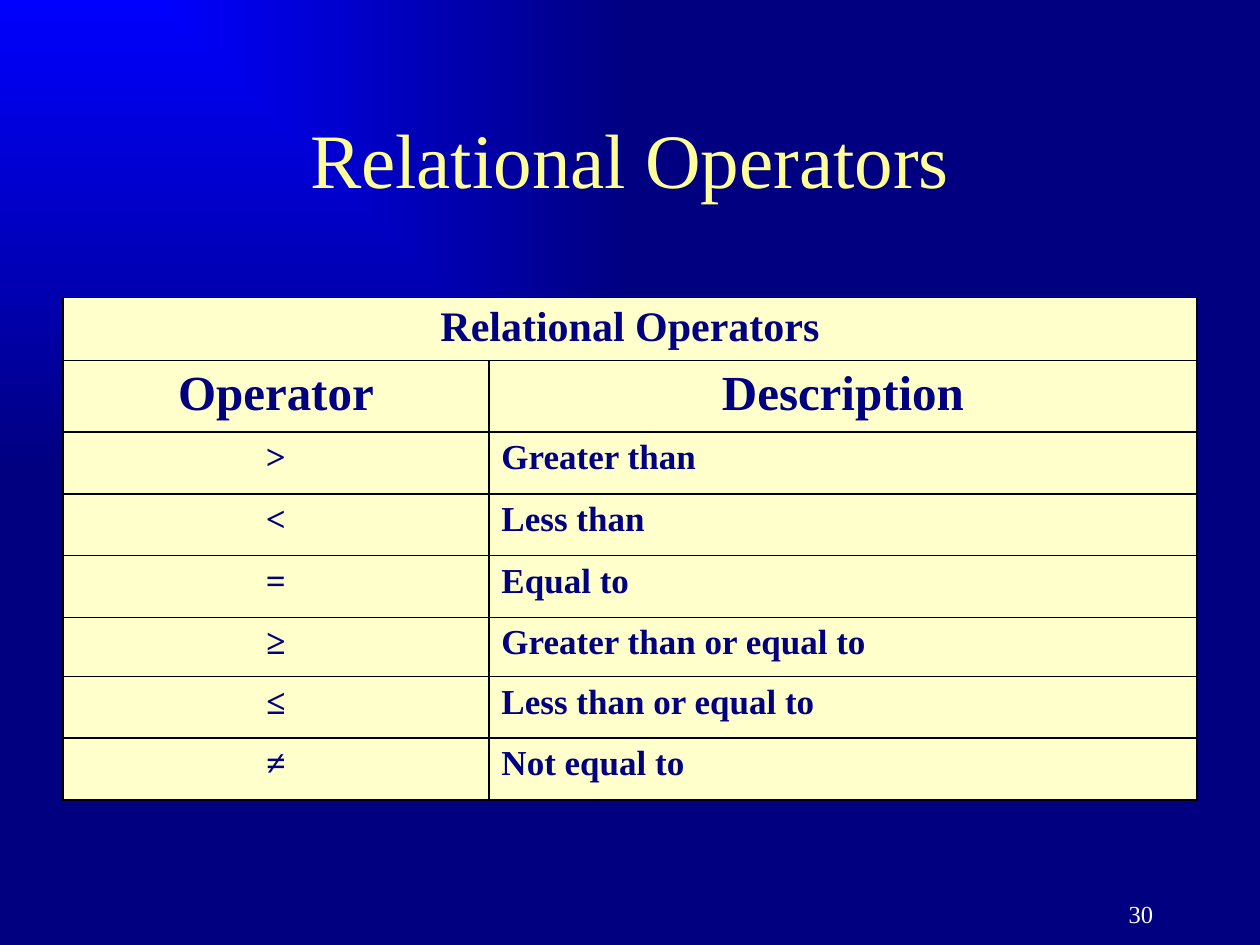
"""Build the relational operators slide."""
from dataclasses import dataclass

from pptx import Presentation
from pptx.dml.color import RGBColor
from pptx.enum import text
from pptx.oxml import parse_xml
from pptx.oxml.ns import nsdecls
from pptx.util import Inches, Pt


@dataclass(frozen=True)
class Theme:
    font: str = "Times New Roman"
    glow: str = "0000FF"
    navy: str = "000080"
    title: str = "FFFF99"
    cell: str = "FFFFCC"
    border: str = "000000"
    number: str = "FFFFFF"
    title_size: int = 44
    caption_size: int = 24
    header_size: int = 28
    body_size: int = 20
    number_size: int = 14


theme = Theme()
align = text.PP_ALIGN


def write(tf, words, size, color, bold=False, alignment=align.CENTER, hanging=0):
    p = tf.paragraphs[0]
    p.alignment = alignment
    if hanging:
        pPr = p._p.get_or_add_pPr()
        pPr.set("marL", str(Inches(hanging)))
        pPr.set("indent", str(-Inches(hanging)))
    r = p.add_run()
    r.text = words
    r.font.name = theme.font
    r.font.size = Pt(size)
    r.font.bold = bold
    r.font.color.rgb = RGBColor.from_string(color)


def style_cell(cell):
    tcPr = cell._tc.get_or_add_tcPr()
    for side in ("lnL", "lnR", "lnT", "lnB"):
        tcPr.append(parse_xml(
            f'<a:{side} {nsdecls("a")} w="{Pt(1)}"><a:solidFill>'
            f'<a:srgbClr val="{theme.border}"/></a:solidFill></a:{side}>'))
    cell.fill.solid()
    cell.fill.fore_color.rgb = RGBColor.from_string(theme.cell)


prs = Presentation()
prs.slide_width, prs.slide_height = Inches(10), Inches(7.5)
s = prs.slides.add_slide(prs.slide_layouts[5])

fill = s.background.fill
fill.gradient()
for stop, color, position in zip(fill.gradient_stops, (theme.glow, theme.navy), (0, 1)):
    stop.color.rgb = RGBColor.from_string(color)
    stop.position = position
lin = s.element.xpath(".//p:bg//a:lin")[0]
lin.getparent().replace(lin, parse_xml(
    f'<a:path {nsdecls("a")} path="rect">'
    '<a:fillToRect r="100000" b="100000"/></a:path>'))

title = s.shapes.title
title.left, title.top = Inches(0.5), Inches(0.5)
title.width, title.height = Inches(9), Inches(1.5)
title.text_frame.vertical_anchor = text.MSO_ANCHOR.MIDDLE
write(title.text_frame, "Relational Operators", theme.title_size, theme.title)

rows = [
    ("Relational Operators", ""),
    ("Operator", "Description"),
    (">", "Greater than"),
    ("<", "Less than"),
    ("=", "Equal to"),
    ("≥", "Greater than or equal to"),
    ("≤", "Less than or equal to"),
    ("≠", "Not equal to"),
]
heights = [0.5, 0.57, 0.49, 0.49, 0.49, 0.47, 0.49, 0.49]
sizes = [theme.caption_size, theme.header_size] + [theme.body_size] * 6

table = s.shapes.add_table(len(rows), 2, Inches(0.5), Inches(2.36),
                           Inches(9), Inches(sum(heights))).table
for column, width in zip(table.columns, (3.38, 5.62)):
    column.width = Inches(width)
table.cell(0, 0).merge(table.cell(0, 1))
for i, (row, height, size) in enumerate(zip(rows, heights, sizes)):
    table.rows[i].height = Inches(height)
    for j, words in enumerate(row):
        cell = table.cell(i, j)
        style_cell(cell)
        if words:
            left = j == 1 and i > 1
            write(cell.text_frame, words, size, theme.navy, bold=True, hanging=0.38,
                  alignment=align.LEFT if left else align.CENTER)

tf = s.shapes.add_textbox(Inches(7.17), Inches(7), Inches(2.08), Inches(0.5)).text_frame
tf.word_wrap = False
tf.vertical_anchor = text.MSO_ANCHOR.MIDDLE
write(tf, "30", theme.number_size, theme.number, alignment=align.RIGHT)

prs.save("out.pptx")
